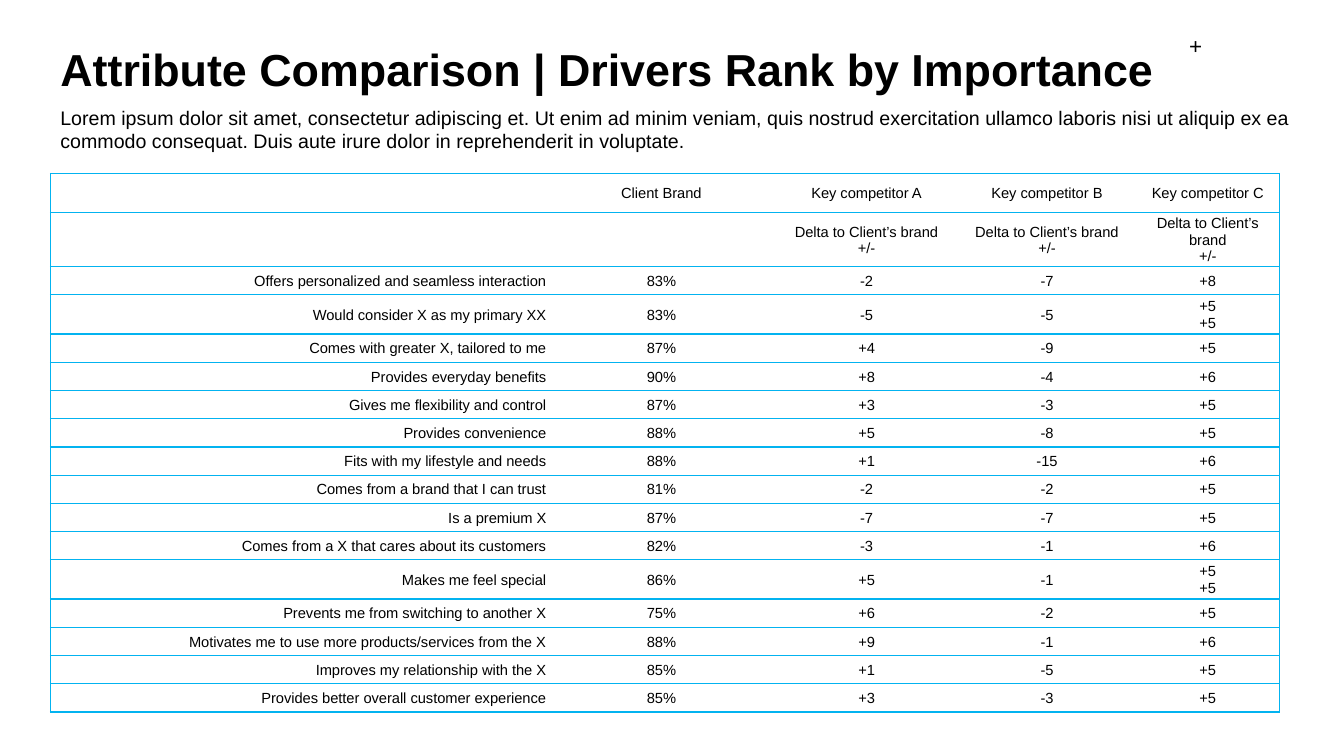
from lxml.etree import SubElement
from pptx import Presentation
from pptx.dml.color import RGBColor
from pptx.enum.text import MSO_ANCHOR, PP_ALIGN
from pptx.oxml.ns import qn
from pptx.util import Inches, Pt

LEFT, MID, RIGHT = PP_ALIGN.LEFT, PP_ALIGN.CENTER, PP_ALIGN.RIGHT
DELTA = "Delta to Client’s brand\n+/-"
WIDTHS = [4.93, 2.26, 1.81, 1.77, 1.42]
ROWS = [
    ("", "Client Brand", "Key competitor A", "Key competitor B", "Key competitor C"),
    ("", "", DELTA, DELTA, DELTA),
    ("Offers personalized and seamless interaction", "83%", "-2", "-7", "+8"),
    ("Would consider X as my primary XX", "83%", "-5", "-5", "+5\n+5"),
    ("Comes with greater X, tailored to me", "87%", "+4", "-9", "+5"),
    ("Provides everyday benefits", "90%", "+8", "-4", "+6"),
    ("Gives me flexibility and control", "87%", "+3", "-3", "+5"),
    ("Provides convenience", "88%", "+5", "-8", "+5"),
    ("Fits with my lifestyle and needs", "88%", "+1", "-15", "+6"),
    ("Comes from a brand that I can trust", "81%", "-2", "-2", "+5"),
    ("Is a premium X", "87%", "-7", "-7", "+5"),
    ("Comes from a X that cares about its customers", "82%", "-3", "-1", "+6"),
    ("Makes me feel special", "86%", "+5", "-1", "+5\n+5"),
    ("Prevents me from switching to another X", "75%", "+6", "-2", "+5"),
    ("Motivates me to use more products/services from the X", "88%", "+9", "-1", "+6"),
    ("Improves my relationship with the X", "85%", "+1", "-5", "+5"),
    ("Provides better overall customer experience", "85%", "+3", "-3", "+5"),
]


def color(code):
    return RGBColor.from_string(code)


def write(frame, text, size=10.5, bold=False, align=LEFT, space=None):
    """Fill a text frame, one paragraph per line of text."""
    frame.word_wrap = True
    for i, line in enumerate(text.split("\n")):
        para = frame.add_paragraph() if i else frame.paragraphs[0]
        para.alignment = align
        para.line_spacing = space
        if line:
            run = para.add_run()
            run.text = line
            font = run.font
            font.name, font.size, font.bold = "Arial", Pt(size), bold
            font.color.rgb = color("000000")


def height(row):
    if DELTA in row:
        return 0.52
    return 0.39 if row is ROWS[0] or "\n" in row[-1] else 0.28


class Deck:
    paper, line = "FFFFFF", "03B3F0"

    def __init__(self):
        self.prs = Presentation()
        self.prs.slide_width, self.prs.slide_height = Inches(13.33), Inches(7.5)
        self.slide = self.prs.slides.add_slide(self.prs.slide_layouts[6])

    def text(self, box, text, anchor=MSO_ANCHOR.TOP, **style):
        frame = self.slide.shapes.add_textbox(*map(Inches, box)).text_frame
        frame.vertical_anchor = anchor
        write(frame, text, **style)

    def border(self, cell, sides):
        props = cell._tc.get_or_add_tcPr()
        for side in "LRTB":
            edge = SubElement(props, qn(f"a:ln{side}"), w=str(Pt(1)))
            if side in sides:
                fill = SubElement(edge, qn("a:solidFill"))
                SubElement(fill, qn("a:srgbClr"), val=self.line)
            else:
                SubElement(edge, qn("a:noFill"))

    def cell(self, cell, text, align, sides):
        self.border(cell, sides)
        cell.fill.solid()
        cell.fill.fore_color.rgb = color(self.paper)
        cell.margin_left = cell.margin_right = cell.margin_top = Inches(0.01)
        cell.margin_bottom = 0
        cell.vertical_anchor = MSO_ANCHOR.MIDDLE
        write(cell.text_frame, text, align=align)

    def table(self, left, top, widths, rows):
        tall = [height(row) for row in rows]
        box = map(Inches, (left, top, sum(widths), sum(tall)))
        grid = self.slide.shapes.add_table(len(rows), len(widths), *box).table
        grid.first_row = grid.horz_banding = False
        for col, wide in zip(grid.columns, widths):
            col.width = Inches(wide)
        last = len(widths) - 1
        for r, row in enumerate(rows):
            grid.rows[r].height = Inches(tall[r])
            for c, text in enumerate(row):
                sides = "TB" + {0: "L", last: "R"}.get(c, "")
                self.cell(grid.cell(r, c), text, MID if c else RIGHT, sides)


def main():
    deck = Deck()
    # Corner mark and title
    deck.text((11.68, 0.27, 0.36, 0.37), "+", MSO_ANCHOR.MIDDLE, size=16, align=MID)
    deck.text((0.5, 0.17, 12.14, 1.08), "Attribute Comparison | Drivers Rank by Importance",
              MSO_ANCHOR.MIDDLE, size=32, bold=True, space=0.9)
    # Attribute scores
    deck.table(0.5, 1.72, WIDTHS, ROWS)
    # Introduction
    deck.text((0.5, 1, 12.74, 0.57),
              "Lorem ipsum dolor sit amet, consectetur adipiscing et. Ut enim ad minim "
              "veniam, quis nostrud exercitation ullamco laboris nisi ut aliquip ex ea "
              "commodo consequat. Duis aute irure dolor in reprehenderit in voluptate.",
              size=14)
    deck.prs.save("out.pptx")


if __name__ == "__main__":
    main()
